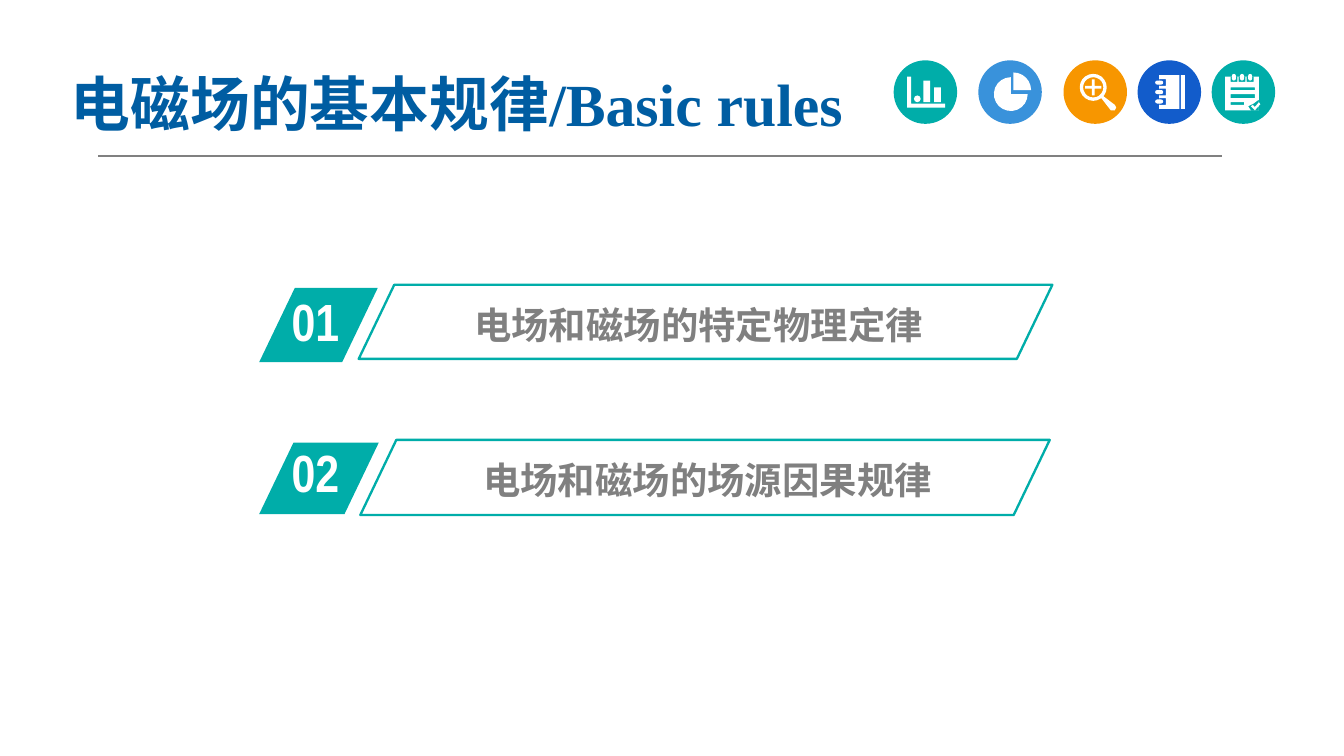
from math import cos, radians, sin

from pptx import Presentation
from pptx.dml.color import RGBColor
from pptx.enum.shapes import MSO_CONNECTOR, MSO_SHAPE
from pptx.enum.text import MSO_ANCHOR, PP_ALIGN
from pptx.oxml.ns import qn
from pptx.util import Cm, Pt
from lxml import etree

OVAL, SLANTED = MSO_SHAPE.OVAL, MSO_SHAPE.PARALLELOGRAM
LEFT, CENTER = PP_ALIGN.LEFT, PP_ALIGN.CENTER
TOP, MIDDLE = MSO_ANCHOR.TOP, MSO_ANCHOR.MIDDLE
TEAL, WHITE, GREY, NAVY = "00ADA9", "FFFFFF", "808080", "005DA2"


# Outlines on a 47-unit icon grid; an outline inside another cuts a hole
def arc(cx, cy, r, start=0, end=360, steps=20):
    angles = [radians(start + (end - start) * i / steps) for i in range(steps + 1)]
    return [(cx + r * cos(a), cy + r * sin(a)) for a in angles]


def box(x, y, w, h):
    return [(x, y), (x + w, y), (x + w, y + h), (x, y + h)]


def pill(x, y, w, h):
    r = min(w, h) / 2
    centers = box(x + r, y + r, w - 2 * r, h - 2 * r)
    return [point for i, (cx, cy) in enumerate(centers)
            for point in arc(cx, cy, r, 180 + 90 * i, 270 + 90 * i, 2)]


# Content: lengths in cm
TITLE = "电磁场的基本规律/Basic rules"
BARS = [  # number, its shape, its text, label, label text, label outline
    ("01", (4.9, 5.44, 2.24, 1.4), (5.26, 5.33, 2.13, 1.6),
     "电场和磁场的特定物理定律", (7.11, 5.59, 12.19, 1.04), (6.78, 5.38, 13.11, 1.4)),
    ("02", (4.9, 8.36, 2.26, 1.35), (5.26, 8.2, 2.16, 1.52),
     "电场和磁场的场源因果规律", (7.29, 8.51, 12.17, 1.04), (6.81, 8.31, 13.03, 1.42)),
]
CHART = [
    [(10, 12), (13, 12), (13, 32), (38, 32), (38, 35), (10, 35)],
    pill(15, 26, 5, 5), box(22, 15, 5, 16), box(30, 20, 5, 11),
]
PIE = [
    [(26, 22)] + arc(26, 22, 13, -90, 0, 6),
    [(24, 25)] + arc(24, 25, 12.5, 0, 270, 16),
]
MAGNIFIER = [
    arc(22, 20, 10), arc(22, 20, 7.5),
    [(21, 14), (23, 14), (23, 19), (28, 19), (28, 21), (23, 21),
     (23, 26), (21, 26), (21, 21), (16, 21), (16, 19), (21, 19)],
    [(29.6, 26.6), (38, 33), (39, 35), (38, 37), (35, 37), (28, 28)],
]
NOTEBOOK = [box(32, 11, 3, 25), box(16, 11, 15, 25)]
for y in (14, 21, 28):
    NOTEBOOK += [box(16, y, 5, 5), pill(13, y + 1, 6, 3)]
NOTEPAD = [
    box(10, 12, 25, 25),
    box(14, 20, 18, 2), box(14, 25, 18, 3), box(14, 31, 10, 2),
    [(27, 34), (31, 32), (35, 29), (35, 37), (29, 37)],
    [(29, 34), (30.5, 33), (32, 34.5), (35, 31), (36, 32.5), (32, 37)],
]
for x in (14, 20, 26):
    NOTEPAD += [box(x, 12, 5, 4), pill(x + 1, 10, 3, 5)]
ICONS = [  # left, colour, outlines
    (16.89, TEAL, CHART), (18.49, "3992DB", PIE), (20.1, "F79600", MAGNIFIER),
    (21.5, "125CCB", NOTEBOOK), (22.9, TEAL, NOTEPAD),
]
ICON_TOP, ICON_SIZE, ICON_GRID = 1.14, 1.2, 47

prs = Presentation()
prs.slide_width, prs.slide_height = Cm(25.4), Cm(14.28)
s = prs.slides.add_slide(prs.slide_layouts[6])


def rgb(color):
    return RGBColor.from_string(color)


def paint(sp, fill=None, line=None):
    sp.shadow.inherit = False
    if fill:
        sp.fill.solid()
        sp.fill.fore_color.rgb = rgb(fill)
    else:
        sp.fill.background()
    if line:
        sp.line.color.rgb = rgb(line)
        sp.line.width = Pt(1.25)
    else:
        sp.line.fill.background()


def add_shape(kind, at, fill=None, line=None):
    sp = s.shapes.add_shape(kind, *map(Cm, at))
    if kind == SLANTED:
        sp.adjustments[0] = 0.48
    paint(sp, fill, line)


def add_text(text, at, font, size, color, align=LEFT, anchor=TOP):
    tf = s.shapes.add_textbox(*map(Cm, at)).text_frame
    tf.word_wrap = True
    tf.vertical_anchor = anchor
    p = tf.paragraphs[0]
    p.text, p.alignment = text, align
    p.font.name, p.font.size, p.font.bold = font, Pt(size), True
    p.font.color.rgb = rgb(color)
    if font.startswith("Noto"):
        etree.SubElement(p.font._element, qn("a:ea"), typeface=font)


def add_icon(left, color, outlines):
    add_shape(OVAL, (left, ICON_TOP, ICON_SIZE, ICON_SIZE), color)
    unit = Cm(ICON_SIZE) / ICON_GRID
    scaled = [[(x * unit, y * unit) for x, y in points] for points in outlines]
    builder = s.shapes.build_freeform(*scaled[0][0])
    for i, points in enumerate(scaled):
        if i:
            builder.move_to(*points[0])
        builder.add_line_segments(points[1:], close=True)
    paint(builder.convert_to_shape(Cm(left), Cm(ICON_TOP)), WHITE)


# Title and rule
add_text(TITLE, (1.09, 1.14, 19.99, 1.6), "Times New Roman", 32, NAVY, anchor=MIDDLE)
rule = s.shapes.add_connector(MSO_CONNECTOR.STRAIGHT, Cm(1.86), Cm(2.95), Cm(23.09), Cm(2.95))
rule.line.color.rgb = rgb(GREY)
rule.line.width = Pt(0.75)
etree.SubElement(rule._element.spPr, qn("a:effectLst"))

# Numbered bars
for number, number_shape, number_at, label, label_at, outline in BARS:
    add_shape(SLANTED, number_shape, fill=TEAL)
    add_text(number, number_at, "Arial Narrow", 28, WHITE)
    add_text(label, label_at, "Noto Sans CJK SC", 20, GREY, CENTER)
    add_shape(SLANTED, outline, line=TEAL)

# Round icons
for icon in ICONS:
    add_icon(*icon)

prs.save("out.pptx")
